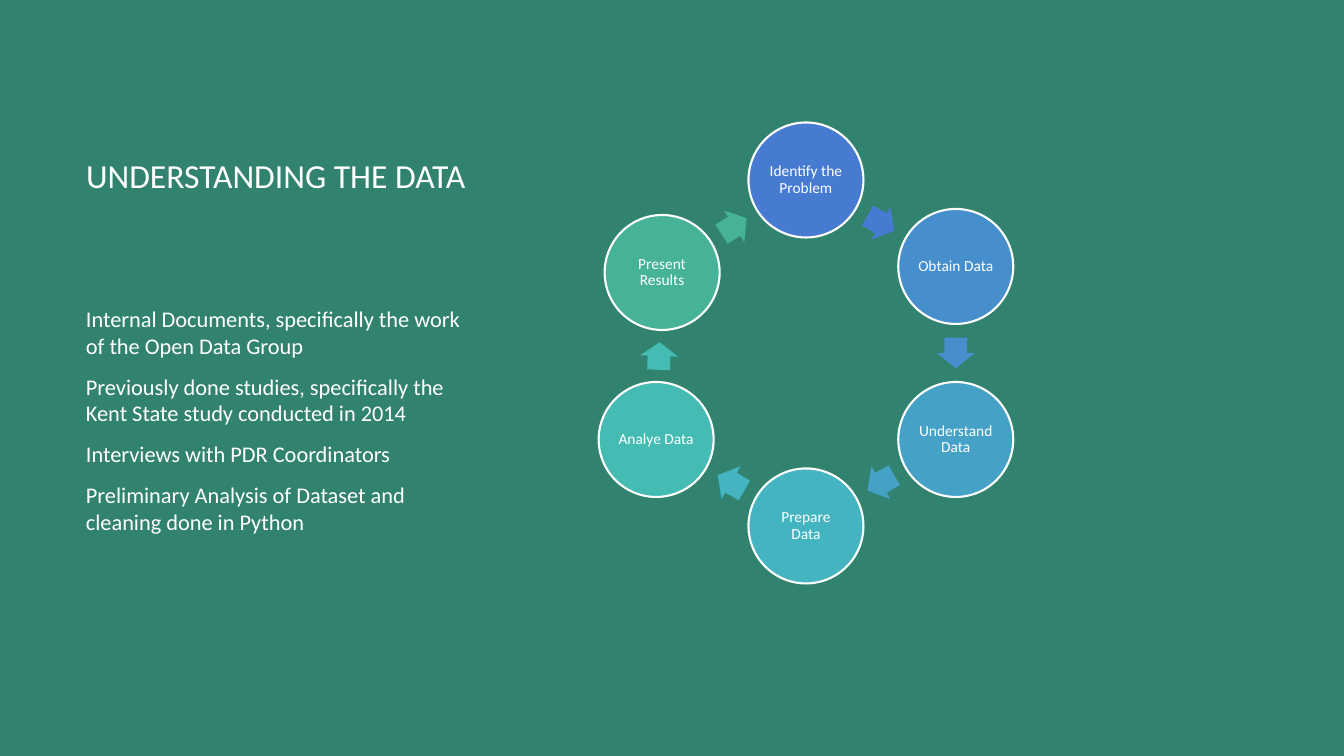
import math

from pptx import Presentation
from pptx.dml.color import RGBColor
from pptx.enum.shapes import MSO_SHAPE
from pptx.enum.text import MSO_ANCHOR, PP_ALIGN
from pptx.util import Pt

PX = 914400 / 100.8
OVAL, ARROW = MSO_SHAPE.OVAL, MSO_SHAPE.RIGHT_ARROW
LEFT, CENTER = PP_ALIGN.LEFT, PP_ALIGN.CENTER
TOP, MIDDLE, BOTTOM = MSO_ANCHOR.TOP, MSO_ANCHOR.MIDDLE, MSO_ANCHOR.BOTTOM
BACKGROUND, WHITE = "31826E", "FFFFFF"


def px(*lengths):
    return [round(length * PX) for length in lengths]


def write(shape, text, size, align, anchor):
    """Fill a shape with wrapped white text, one paragraph per line."""
    frame = shape.text_frame
    frame.text = text
    frame.word_wrap = True
    frame.vertical_anchor = anchor
    for paragraph in frame.paragraphs:
        paragraph.alignment = align
        for run in paragraph.runs:
            run.font.name = "Calibri"
            run.font.size = Pt(size)
            run.font.color.rgb = RGBColor.from_string(WHITE)


presentation = Presentation()
presentation.slide_width, presentation.slide_height = px(1344, 756)
slide = presentation.slides.add_slide(presentation.slide_layouts[5])
slide.background.fill.solid()
slide.background.fill.fore_color.rgb = RGBColor.from_string(BACKGROUND)

title = slide.shapes.title
title.left, title.top, title.width, title.height = px(76, 49, 406, 151)
write(title, "UNDERSTANDING THE DATA", 24, LEFT, BOTTOM)

sources = [
    "Internal Documents, specifically the work of the Open Data Group",
    "Previously done studies, specifically the Kent State study conducted in 2014",
    "Interviews with PDR Coordinators",
    "Preliminary Analysis of Dataset and cleaning done in Python",
]
body = slide.shapes.add_textbox(*px(76, 300, 406, 264))
write(body, "\n".join(sources), 16, LEFT, TOP)
for paragraph in body.text_frame.paragraphs:
    paragraph.space_after = Pt(10)

# Cycle of steps, clockwise from the top; the last one sits slightly inwards
steps = [
    ("Identify the Problem", "477BD1", 0),
    ("Obtain Data", "468FCC", 0),
    ("Understand Data", "45A2C6", 0),
    ("Prepare Data", "44B4C1", 0),
    ("Analye Data", "44BBB3", 0),
    ("Present Results", "46B298", 6),
]
CYCLE_X, CYCLE_Y, RADIUS = 806, 353, 173
DIAMETER, ARROW_HEIGHT = 115, 38

centers = []
for index, (label, color, nudge) in enumerate(steps):
    angle = math.tau * index / len(steps)
    centers.append((CYCLE_X + RADIUS * math.sin(angle) + nudge,
                    CYCLE_Y - RADIUS * math.cos(angle) + nudge))

for index, (label, color, nudge) in enumerate(steps):
    x, y = centers[index]
    next_x, next_y = centers[(index + 1) % len(steps)]

    circle = slide.shapes.add_shape(
        OVAL, *px(x - DIAMETER / 2, y - DIAMETER / 2, DIAMETER, DIAMETER))
    circle.line.color.rgb = RGBColor.from_string(WHITE)
    circle.line.width = Pt(1.5)
    write(circle, label, 11, CENTER, MIDDLE)
    circle.text_frame.paragraphs[0].line_spacing = 0.9
    frame = circle.text_frame
    frame.margin_left, frame.margin_top, frame.margin_right, frame.margin_bottom = px(2, 2, 2, 2)

    gap = math.dist(centers[index], (next_x, next_y)) - DIAMETER
    length = 0.53 * gap
    arrow = slide.shapes.add_shape(
        ARROW, *px((x + next_x - length) / 2, (y + next_y - ARROW_HEIGHT) / 2,
                   length, ARROW_HEIGHT))
    arrow.adjustments[0], arrow.adjustments[1] = 0.6, 0.5
    arrow.rotation = math.degrees(math.atan2(next_y - y, next_x - x)) % 360
    arrow.line.fill.background()

    for shape in (circle, arrow):
        shape.shadow.inherit = False
        shape.fill.solid()
        shape.fill.fore_color.rgb = RGBColor.from_string(color)

presentation.save("out.pptx")
